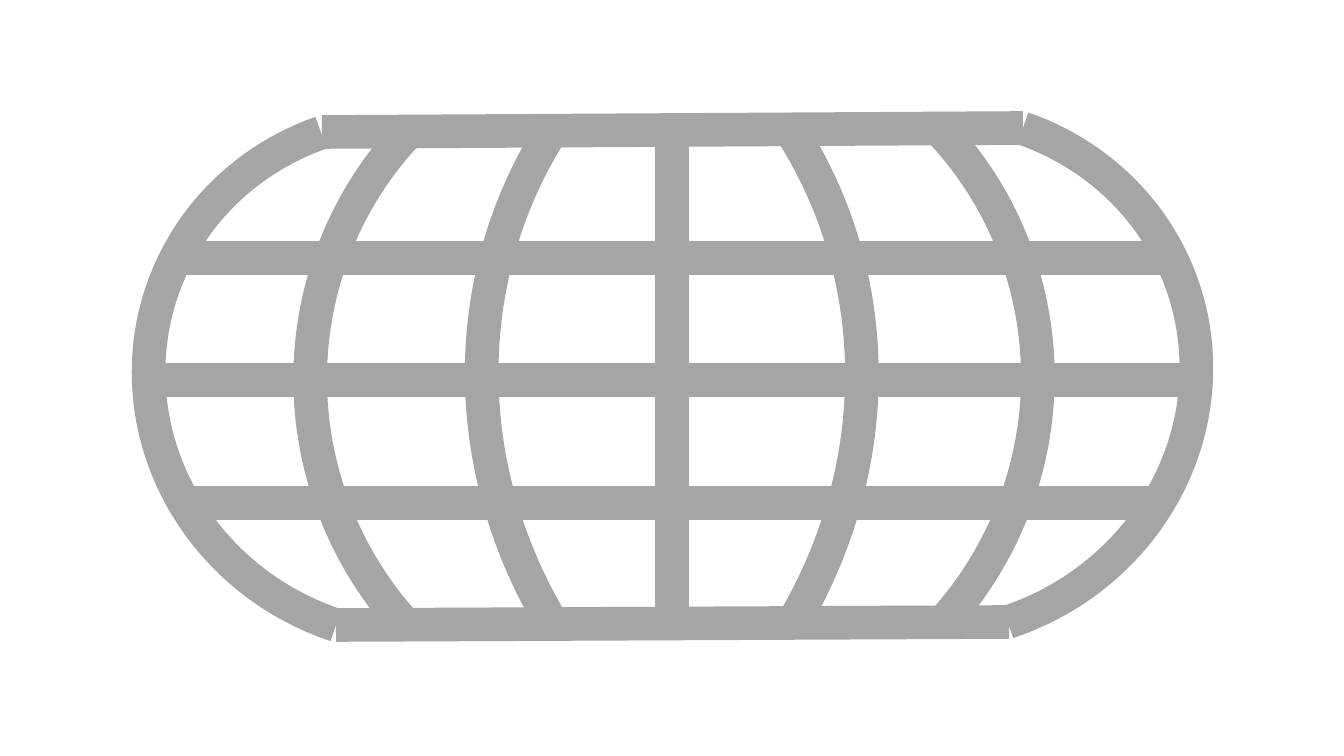
from lxml import etree
from pptx import Presentation
from pptx.dml.color import RGBColor
from pptx.enum.shapes import MSO_CONNECTOR as Connector, MSO_SHAPE as Shape
from pptx.oxml.ns import qn
from pptx.util import Pt

COLORS = {"grid": "A5A5A5"}
LINE_WIDTH = 24
SLIDE_SIZE = (1344, 756)
EMU_PER_PX = 914400 / 100.8

PARALLELS = [(186, 1158, 503), (150, 1196, 380), (175, 1170, 258)]
CENTRAL_MERIDIAN = (672, 129, 672, 627)
EDGES = [(322, 132, 1023, 128), (336, 625, 1009, 622)]

SIDE_SWEEP = (131.95, 0)
MIDDLE_SWEEP = (162, 213.19)
INNER_SWEEP = (162, 198.4)
ARCS = [
    ((665, 103, 521, 544), 71.6, False, SIDE_SWEEP),
    ((312, 18, 722, 729), 313.3, True, MIDDLE_SWEEP),
    ((158, 108, 520, 541), 288.4, True, SIDE_SWEEP),
    ((502, -100, 940, 996), 302, True, INNER_SWEEP),
    ((-98, -98, 940, 996), 57.2, False, INNER_SWEEP),
    ((314, 16, 722, 729), 46.7, False, MIDDLE_SWEEP),
]


def emu(*lengths):
    return [round(length * EMU_PER_PX) for length in lengths]


def style_line(line):
    line.color.rgb = RGBColor.from_string(COLORS["grid"])
    line.width = Pt(LINE_WIDTH)


def add_line(page, ends):
    connector = page.shapes.add_connector(Connector.STRAIGHT, *emu(*ends))
    style_line(connector.line)
    etree.SubElement(connector.element.spPr, qn("a:effectLst"))


def add_arc(page, frame, rotation, flipped, sweep):
    arc = page.shapes.add_shape(Shape.ARC, *emu(*frame))
    arc.shadow.inherit = False
    arc.fill.background()
    style_line(arc.line)
    arc.rotation = rotation
    arc.adjustments[0], arc.adjustments[1] = sweep
    if flipped:
        arc.element.spPr.find(qn("a:xfrm")).set("flipH", "1")


def main():
    deck = Presentation()
    deck.slide_width, deck.slide_height = emu(*SLIDE_SIZE)
    page = deck.slides.add_slide(deck.slide_layouts[6])
    parallels = [(left, y, right, y) for left, right, y in PARALLELS]
    for ends in [*parallels, CENTRAL_MERIDIAN, *EDGES]:
        add_line(page, ends)
    for arc in ARCS:
        add_arc(page, *arc)
    deck.save("out.pptx")


if __name__ == "__main__":
    main()
